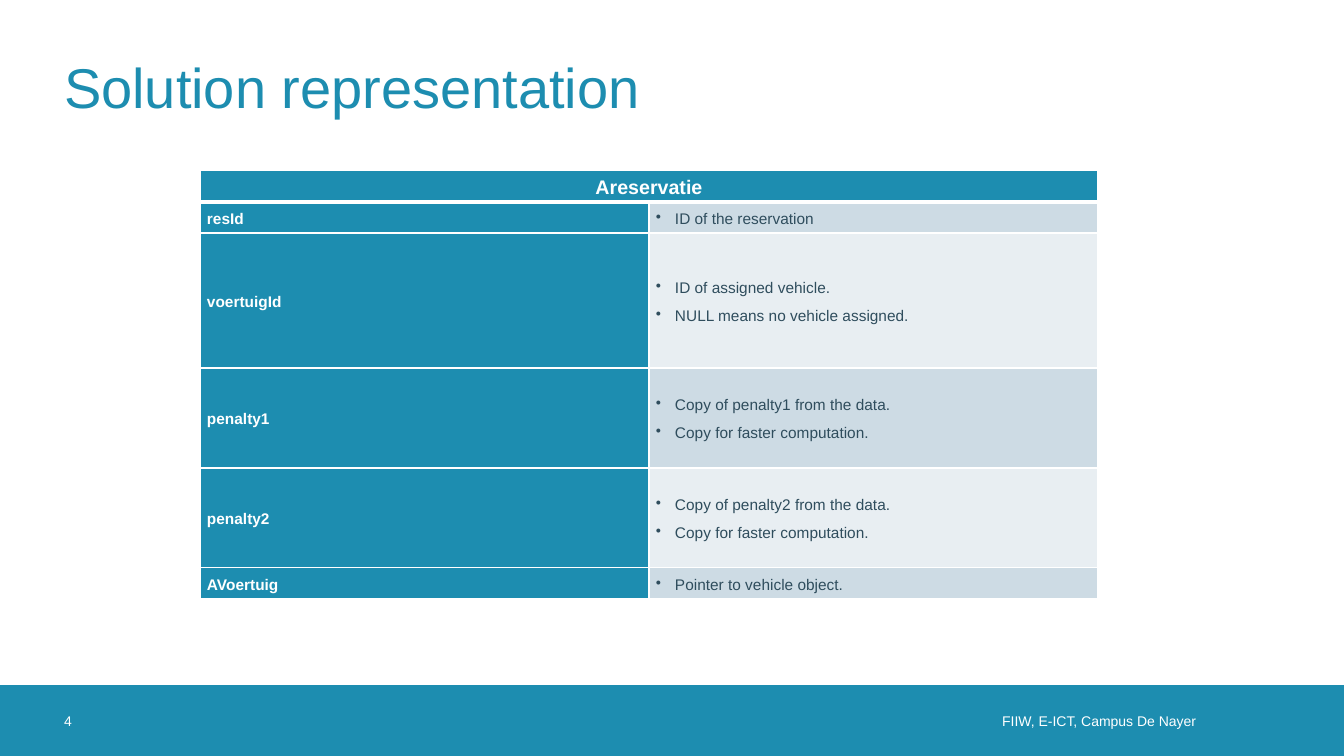
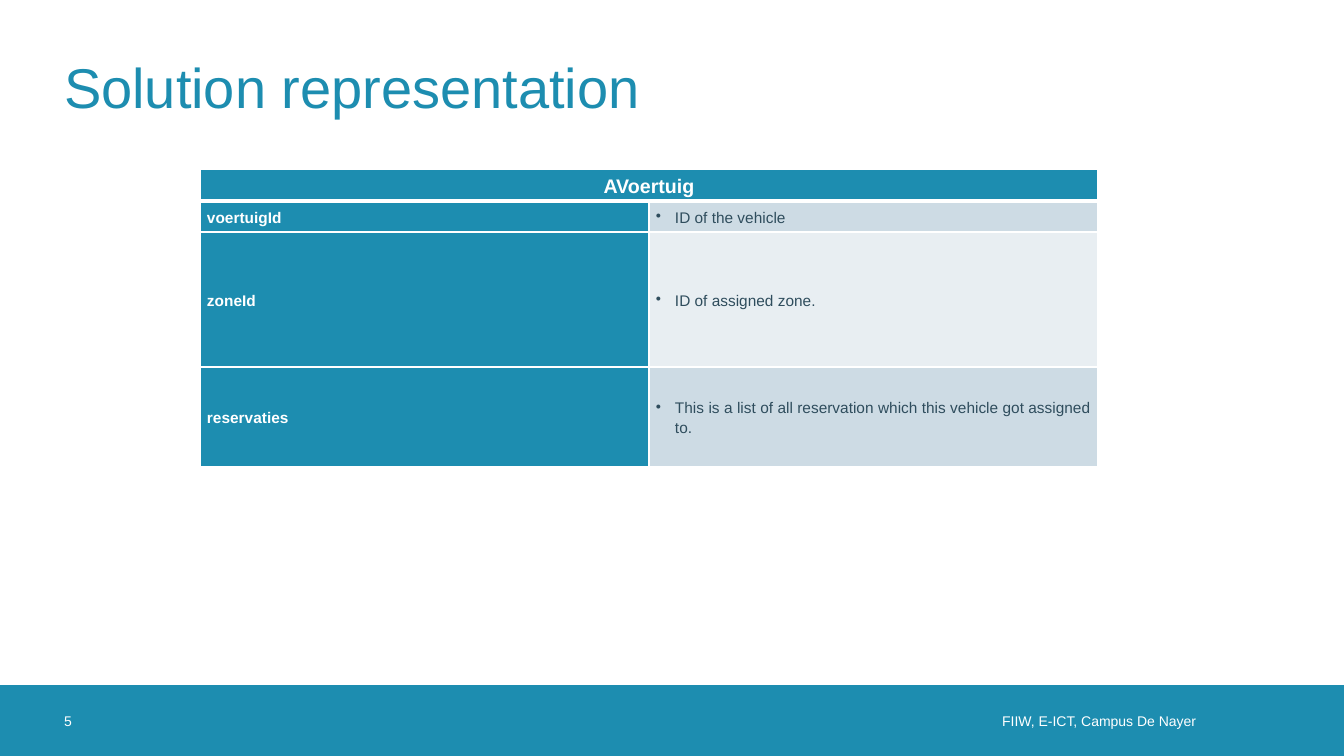
from lxml.etree import SubElement
from pptx import Presentation
from pptx.dml.color import RGBColor
from pptx.enum.shapes import MSO_SHAPE
from pptx.enum.text import MSO_ANCHOR, MSO_AUTO_SIZE, PP_ALIGN
from pptx.oxml import parse_xml
from pptx.oxml.ns import nsdecls, qn
from pptx.util import Emu, Pt

TEAL = RGBColor(0x1D, 0x8D, 0xB0)
WHITE = RGBColor(0xFF, 0xFF, 0xFF)
SLATE = RGBColor(0x2F, 0x4D, 0x5D)
BANDS = [RGBColor(0xCD, 0xDB, 0xE4), RGBColor(0xE8, 0xEE, 0xF2)]

PX = 914400 / 100.8
FIRST_NUMBER = 4
ROW_HEIGHTS = [32, 31, 135, 100, 100, 31]
COLUMN_WIDTH = 449
BULLET_INDENT = 19

# Structure name, table top, then each field with its description lines
STRUCTURES = [
    ("Areservatie", 170, [
        ("resId", ["ID of the reservation"]),
        ("voertuigId", ["ID of assigned vehicle.", "NULL means no vehicle assigned."]),
        ("penalty1", ["Copy of penalty1 from the data.", "Copy for faster computation."]),
        ("penalty2", ["Copy of penalty2 from the data.", "Copy for faster computation."]),
        ("AVoertuig", ["Pointer to vehicle object."]),
    ]),
    ("AVoertuig", 169, [
        ("voertuigId", ["ID of the vehicle"]),
        ("zoneId", ["ID of assigned zone."]),
        ("reservaties", ["This is a list of all reservation which this vehicle got assigned to."]),
    ]),
]


def write(frame, lines, size, color, align=PP_ALIGN.LEFT, bold=False, insets=(0, 0)):
    """Fill a placeholder or text box with middle-anchored Arial text."""
    frame.text = "\n".join(lines)
    frame.word_wrap = True
    frame.auto_size = MSO_AUTO_SIZE.NONE
    frame.vertical_anchor = MSO_ANCHOR.MIDDLE
    frame.margin_left, frame.margin_right = [Emu(round(inset * PX)) for inset in insets]
    frame.margin_top = frame.margin_bottom = 0
    for paragraph in frame.paragraphs:
        paragraph.alignment = align
        paragraph.font.name = "Arial"
        paragraph.font.size = Pt(size)
        paragraph.font.bold = bold
        paragraph.font.color.rgb = color


def write_cell(cell, lines, fill, color=WHITE, size=11, align=PP_ALIGN.JUSTIFY,
               bold=True, bullets=False, top=1, bottom=1):
    """Fill a table cell; top and bottom are border widths in points."""
    cell.fill.solid()
    cell.fill.fore_color.rgb = fill
    cell.vertical_anchor = MSO_ANCHOR.MIDDLE
    cell.margin_left = cell.margin_right = Emu(round(7 * PX))
    cell.margin_top = cell.margin_bottom = 0
    borders = [("lnL", 1), ("lnR", 1), ("lnT", top), ("lnB", bottom)]
    for position, (side, width) in enumerate(borders):
        cell._tc.get_or_add_tcPr().insert(position, parse_xml(
            f'<a:{side} {nsdecls("a")} w="{Pt(width)}"><a:solidFill>'
            f'<a:srgbClr val="{WHITE}"/></a:solidFill></a:{side}>'))
    cell.text_frame.text = "\n".join(lines)
    for paragraph in cell.text_frame.paragraphs:
        paragraph.alignment = align
        paragraph.line_spacing = 1.15
        paragraph.space_after = Pt(6)
        if bullets:
            properties = paragraph._p.get_or_add_pPr()
            indent = round(BULLET_INDENT * PX)
            properties.set("marL", str(indent))
            properties.set("indent", str(-indent))
            SubElement(properties, qn("a:buChar")).set("char", "•")
        paragraph.font.name = "Arial"
        paragraph.font.size = Pt(size)
        paragraph.font.bold = bold
        paragraph.font.color.rgb = color


prs = Presentation()
prs.slide_width, prs.slide_height = Emu(round(1344 * PX)), Emu(round(756 * PX))
title_only = prs.slide_layouts[5]

for number, (structure, table_top, fields) in enumerate(STRUCTURES, FIRST_NUMBER):
    slide = prs.slides.add_slide(title_only)

    band = slide.shapes.add_shape(
        MSO_SHAPE.RECTANGLE, 0, *[Emu(round(n * PX)) for n in (685, 1344, 71)])
    band.shadow.inherit = False
    band.fill.solid()
    band.fill.fore_color.rgb = TEAL
    band.line.fill.background()

    title = slide.shapes.title
    title.left, title.top, title.width, title.height = [
        Emu(round(n * PX)) for n in (64, 23, 1217, 127)]
    write(title.text_frame, ["Solution representation"], 40, TEAL)

    for text, left, width, align, insets in [
        ("FIIW, E-ICT, Campus De Nayer", 665, 551, PP_ALIGN.RIGHT, (0, 20)),
        (str(number), 64, 71, PP_ALIGN.LEFT, (0, 0)),
    ]:
        footer = slide.shapes.add_textbox(*[Emu(round(n * PX)) for n in (left, 685, width, 71)])
        write(footer.text_frame, [text], 10, WHITE, align, insets=insets)

    heights = ROW_HEIGHTS[:len(fields) + 1]
    table = slide.shapes.add_table(len(heights), 2, *[
        Emu(round(n * PX)) for n in (200, table_top, 2 * COLUMN_WIDTH, sum(heights))]).table
    for column in table.columns:
        column.width = Emu(round(COLUMN_WIDTH * PX))
    for row, height in zip(table.rows, heights):
        row.height = Emu(round(height * PX))

    table.cell(0, 0).merge(table.cell(0, 1))
    for column, lines in enumerate([[structure], []]):
        write_cell(table.cell(0, column), lines, TEAL, size=14,
                   align=PP_ALIGN.CENTER, bottom=3)
    for row, (field, description) in enumerate(fields, 1):
        top = 3 if row == 1 else 1
        write_cell(table.cell(row, 0), [field], TEAL, top=top)
        write_cell(table.cell(row, 1), description, BANDS[(row - 1) % 2], SLATE,
                   bold=False, bullets=True, top=top)

prs.save("out.pptx")
